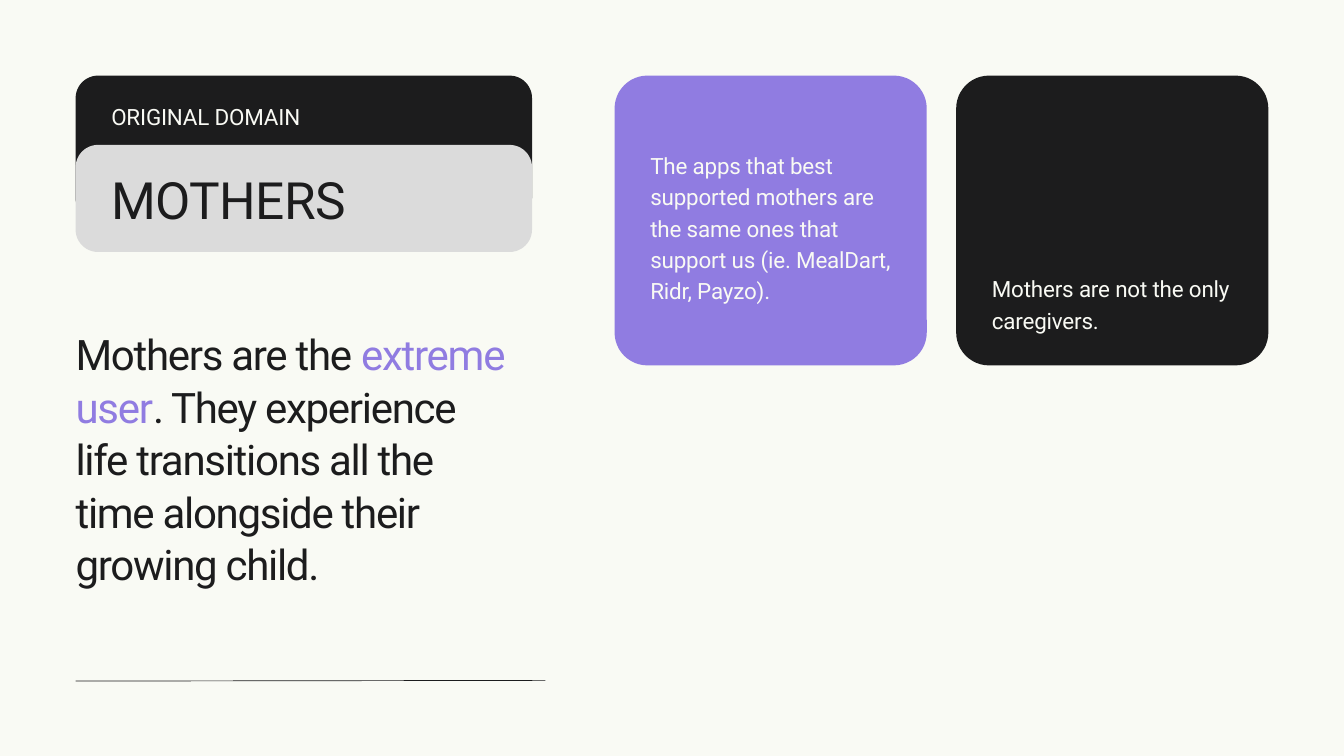
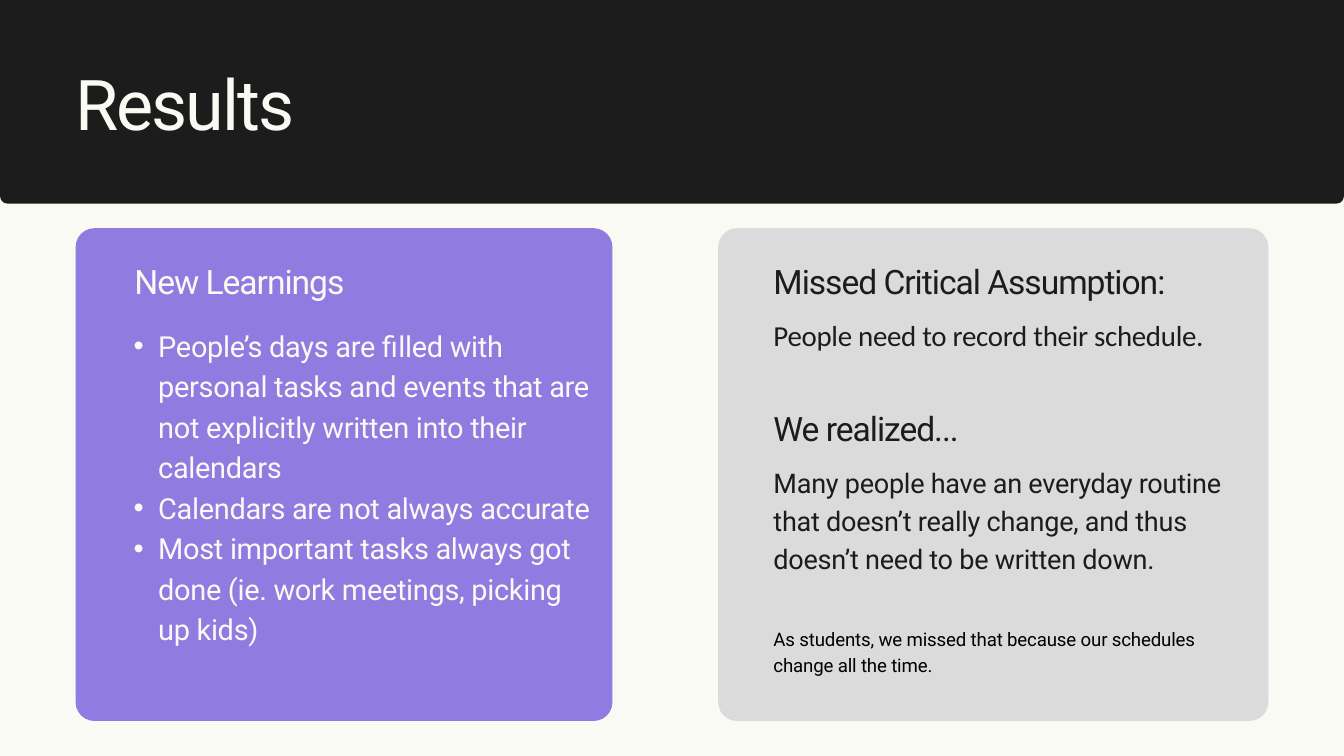
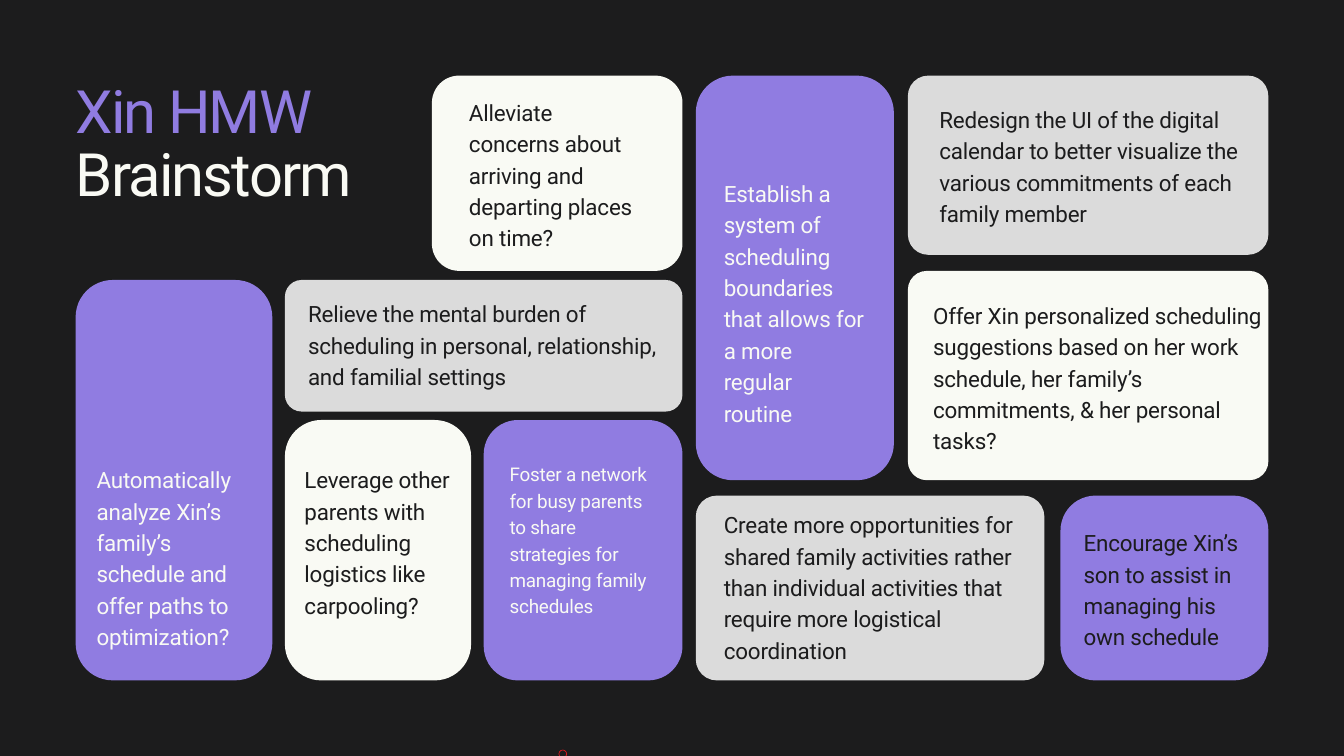
"""Builds three slides on mothers, test results and a brainstorm."""
from dataclasses import dataclass

from lxml.etree import SubElement as Sub
from pptx import Presentation
from pptx.dml.color import RGBColor as RGB
from pptx.enum.shapes import MSO_CONNECTOR as Link, MSO_SHAPE as Geo
from pptx.enum.text import MSO_ANCHOR as Anchor, MSO_AUTO_SIZE as Fit
from pptx.oxml.ns import qn
from pptx.util import Pt

PX = 9525


@dataclass(frozen=True)
class Theme:
    """Holds colours, and type as (size, leading, tracking) in points."""
    dark: RGB = RGB.from_string("1C1C1D")
    pale: RGB = RGB.from_string("F9FAF4")
    grey: RGB = RGB.from_string("DBDBDB")
    plum: RGB = RGB.from_string("907CE1")
    red: RGB = RGB.from_string("E7191F")
    black: RGB = RGB.from_string("000000")
    face: str = "Roboto"
    title: tuple = (75, 93.8, -2.2)
    duo: tuple = (64, 67.8, -1.9)
    name: tuple = (55, 77, -0.5)
    lede: tuple = (45, 56.2, -1.4)
    head: tuple = (36, 45, -1.1)
    list: tuple = (31, 43.4, -0.3)
    note: tuple = (29, 40.6, -0.3)
    body: tuple = (24, 33.6, -0.2)
    small: tuple = (20.2, 28.3, -0.2)
    foot: tuple = (20, 28, -0.2)


T = Theme()
FRAME = dict(margin_left=0, margin_top=0, margin_right=0, margin_bottom=0,
             word_wrap=True, vertical_anchor=Anchor.TOP,
             auto_size=Fit.SHAPE_TO_FIT_TEXT)


def card(slide, fill, box, radius):
    """Draws a rounded card with its corner radius in px."""
    shape = slide.shapes.add_shape(Geo.ROUNDED_RECTANGLE, *[n * PX for n in box])
    shape.adjustments[0] = radius / min(box[2:])
    shape.shadow.inherit = False
    shape.fill.solid()
    shape.fill.fore_color.rgb = fill
    shape.line.fill.background()


def write(slide, box, style, *paras, face=T.face, mark=None):
    """Writes paragraphs, each a list of (words, ink) runs."""
    size, lead, track = style
    frame = slide.shapes.add_textbox(*[n * PX for n in box]).text_frame
    for key, val in FRAME.items():
        setattr(frame, key, val)
    for i, runs in enumerate(paras):
        para = frame.add_paragraph() if i else frame.paragraphs[0]
        para.line_spacing = Pt(lead)
        if mark:
            para.level = 1
            props = para._p.get_or_add_pPr()
            props.set("marL", str(70 * PX))
            props.set("indent", str(-35 * PX))
            Sub(props, qn("a:buFont"), typeface="Arial")
            Sub(props, qn("a:buChar"), char=mark)
        for words, ink in runs:
            run = para.add_run()
            run.text = words
            for key, val in dict(name=face, size=Pt(size)).items():
                setattr(run.font, key, val)
            run.font.color.rgb = ink
            run._r.get_or_add_rPr().set("spc", str(round(track * 100)))


deck = Presentation()
deck.slide_width, deck.slide_height = 1920 * PX, 1080 * PX
slides = []
for back in (T.pale, T.pale, T.dark):
    slide = deck.slides.add_slide(deck.slide_layouts[6])
    slide.background.fill.solid()
    slide.background.fill.fore_color.rgb = back
    slides.append(slide)
domain, results, storm = slides

card(domain, T.dark, (108, 108, 652, 207), 32)
card(domain, T.grey, (108, 207, 652, 153), 32)
rule = domain.shapes.add_connector(
    Link.STRAIGHT, 108 * PX, 973 * PX, 779 * PX, 972 * PX)
rule.line.color.rgb = T.dark
rule.line.width = Pt(0.75)
Sub(rule._element.spPr, qn("a:effectLst"))
card(domain, T.plum, (878, 108, 446, 414), 47)
card(domain, T.dark, (1366, 108, 446, 414), 47)
write(domain, (159, 141, 344, 42), T.body, [("ORIGINAL DOMAIN", T.pale)])
write(domain, (159, 226, 344, 98), T.name, [("MOTHERS", T.dark)])
write(domain, (108, 467, 616, 450), T.lede, [
    ("Mothers are the ", T.dark), ("extreme user", T.plum),
    (". They experience life transitions all the time alongside their growing child.", T.dark)])
write(domain, (929, 211, 344, 263), T.body, [
    ("The apps that best supported mothers are the same ones that support us "
     "(ie. MealDart, Ridr, Payzo).", T.pale)])
write(domain, (1417, 387, 344, 86), T.body,
      [("Mothers are not the only caregivers.", T.pale)])

card(results, T.dark, (0, -51, 1920, 342), 11)
write(results, (108, 82, 1235, 124), T.title, [("Results", T.pale)])
card(results, T.plum, (108, 326, 767, 704), 27)
write(results, (192, 370, 558, 60), T.head, [("New Learnings", T.pale)])
learned = (
    "People’s days are filled with personal tasks and events that are "
    "not explicitly written into their calendars",
    "Calendars are not always accurate",
    "Most important tasks always got done (ie. work meetings, picking up kids)")
write(results, (156, 461, 691, 511), T.list,
      *[[(item, T.pale)] for item in learned], mark="•")
card(results, T.grey, (1026, 326, 786, 704), 27)
for top, wide, high, style, ink, face, words in (
    (370, 629, 60, T.head, T.dark, T.face, "Missed Critical Assumption:"),
    (446, 629, 111, T.list, T.dark, "Calibri", "People need to record their schedule."),
    (581, 629, 60, T.head, T.dark, T.face, "We realized..."),
    (659, 672, 214, T.note, T.dark, T.face,
     "Many people have an everyday routine that doesn’t really change, "
     "and thus doesn’t need to be written down."),
    (892, 629, 74, T.foot, T.black, T.face,
     "As students, we missed that because our schedules change all the time."),
):
    write(results, (1105, top, wide, high), style, [(words, ink)], face=face)

write(storm, (108, 117, 459, 183), T.duo,
      [("Xin HMW", T.plum)], [("Brainstorm", T.pale)])
for fill, box, radius, ink, area, style, words in (
    (T.plum, (108, 400, 281, 572), 53, T.pale, (138, 660, 221, 263), T.body,
     "Automatically analyze Xin’s family’s schedule and offer paths to optimization?"),
    (T.pale, (617, 108, 358, 279), 39, T.dark, (670, 135, 245, 219), T.body,
     "Alleviate concerns about arriving and departing places on time?"),
    (T.grey, (407, 400, 568, 188), 24, T.dark, (440, 423, 534, 131), T.body,
     "Relieve the mental burden of scheduling in personal, relationship, "
     "and familial settings"),
    (T.pale, (407, 600, 266, 372), 52, T.dark, (435, 660, 211, 263), T.body,
     "Leverage other parents with scheduling logistics like carpooling?"),
    (T.plum, (691, 600, 284, 372), 49, T.pale, (728, 656, 211, 258), T.small,
     "Foster a network for busy parents to share strategies for managing "
     "family schedules"),
    (T.plum, (994, 108, 283, 578), 53, T.pale, (1034, 251, 202, 350), T.body,
     "Establish a system of scheduling boundaries that allows for a more "
     "regular routine"),
    (T.grey, (1297, 108, 515, 256), 29, T.dark, (1342, 145, 446, 175), T.body,
     "Redesign the UI of the digital calendar to better visualize the various "
     "commitments of each family member"),
    (T.pale, (1297, 387, 515, 299), 27, T.dark, (1333, 425, 472, 219), T.body,
     "Offer Xin personalized scheduling suggestions based on her work schedule, "
     "her family’s commitments, & her personal tasks?"),
    (T.grey, (994, 708, 498, 264), 30, T.dark, (1034, 724, 420, 219), T.body,
     "Create more opportunities for shared family activities rather than "
     "individual activities that require more logistical coordination"),
    (T.plum, (1515, 708, 297, 264), 50, T.dark, (1548, 750, 241, 175), T.body,
     "Encourage Xin’s son to assist in managing his own schedule"),
):
    card(storm, fill, box, radius)
    write(storm, area, style, [(words, ink)])
ring = storm.shapes.add_shape(Geo.DONUT, 798 * PX, 1071 * PX, 12 * PX, 12 * PX)
ring.adjustments[0] = 0.08
ring.shadow.inherit = False
ring.fill.solid()
ring.fill.fore_color.rgb = T.red
ring.line.fill.background()

deck.save("out.pptx")
